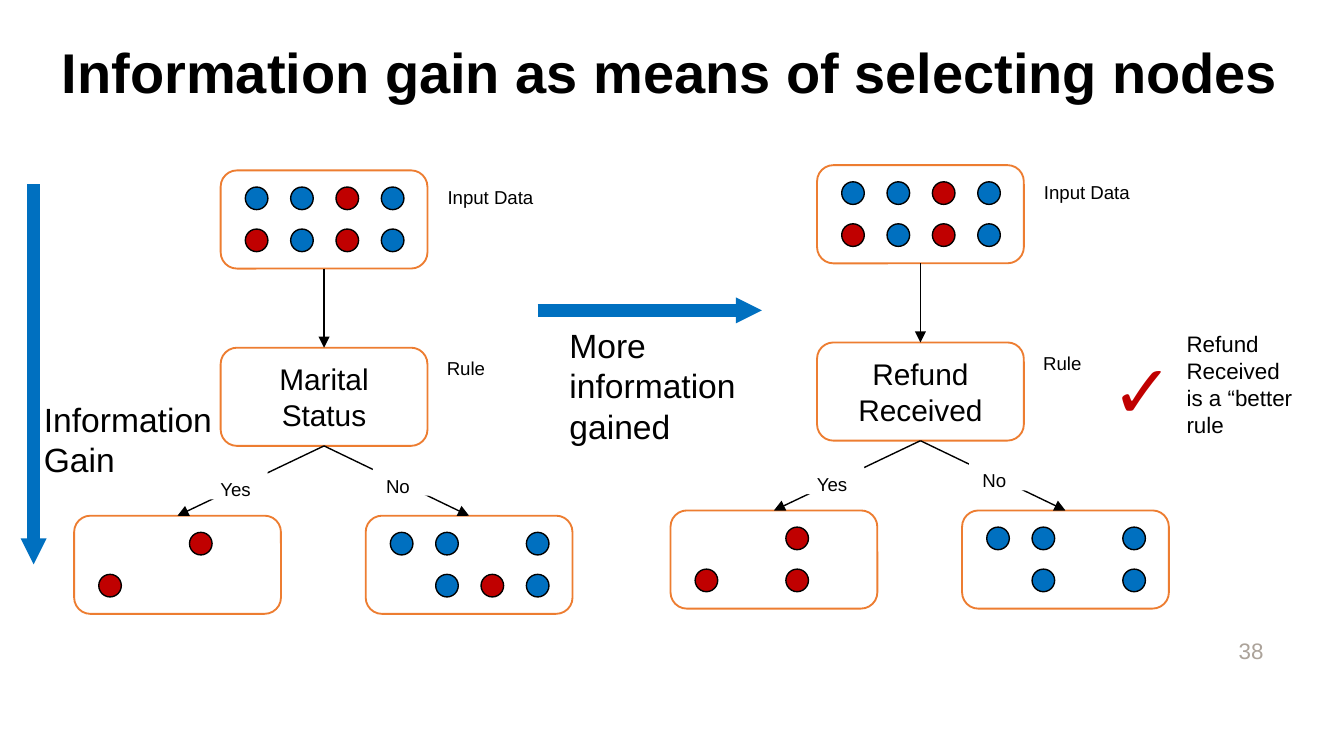
import pptx
import pptx.util
import pptx.dml.color
import pptx.enum.shapes
import pptx.enum.text
import pptx.oxml.ns
import lxml.etree

Pt = pptx.util.Pt
RGBColor = pptx.dml.color.RGBColor
SHAPE = pptx.enum.shapes.MSO_SHAPE
ALIGN = pptx.enum.text.PP_ALIGN
ANCHOR = pptx.enum.text.MSO_ANCHOR
qn = pptx.oxml.ns.qn

BLACK = RGBColor(0x00, 0x00, 0x00)
WHITE = RGBColor(0xFF, 0xFF, 0xFF)
ORANGE = RGBColor(0xED, 0x7D, 0x31)
BLUE = RGBColor(0x00, 0x70, 0xC0)
RED = RGBColor(0xC0, 0x00, 0x00)
GREY = RGBColor(0xAC, 0xA3, 0x9A)

DOTS = {"B": BLUE, "R": RED}
BOX_W, BOX_H = 110.8, 52.6
ROOT_X, LEAF_X = 78.5, 156.2
RULE_Y, LEAF_Y = 95, 185


def write(frame, text, size, color=BLACK, bold=False, align=ALIGN.LEFT, anchor=ANCHOR.TOP):
    frame.word_wrap = True
    frame.vertical_anchor = anchor
    para = frame.paragraphs[0]
    para.alignment = align
    for i, line in enumerate(text.split("\n")):
        if i:
            para.add_line_break()
        run = para.add_run()
        run.text = line
        run.font.name = "Arial"
        run.font.size = Pt(size)
        run.font.bold = bold
        run.font.color.rgb = color


def add_title(slide, text):
    title = slide.shapes.title
    title.left, title.top, title.width, title.height = Pt(26), Pt(6.5), Pt(678), Pt(67.7)
    write(title.text_frame, text, 30, bold=True, anchor=ANCHOR.MIDDLE)
    title.text_frame.auto_size = pptx.enum.text.MSO_AUTO_SIZE.NONE
    title.text_frame.paragraphs[0].line_spacing = 0.9


def add_text(slide, x, y, w, h, text, size, **style):
    box = slide.shapes.add_textbox(Pt(x), Pt(y), Pt(w), Pt(h))
    write(box.text_frame, text, size, **style)
    return box


def add_form(slide, kind, x, y, w, h, fill, edge=None, width=0.75):
    form = slide.shapes.add_shape(kind, Pt(x), Pt(y), Pt(w), Pt(h))
    form.shadow.inherit = False
    form.fill.solid()
    form.fill.fore_color.rgb = fill
    if edge is None:
        form.line.fill.background()
    else:
        form.line.color.rgb = edge
        form.line.width = Pt(width)
    return form


def add_label(slide, x, y, w, text):
    label = add_form(slide, SHAPE.RECTANGLE, x, y, w, 15, WHITE)
    write(label.text_frame, text, 10)


def add_node(slide, x, y, rows=(), text=""):
    node = add_form(slide, SHAPE.ROUNDED_RECTANGLE, x, y, BOX_W, BOX_H, WHITE, ORANGE, 1)
    if text:
        write(node.text_frame, text, 16, align=ALIGN.CENTER, anchor=ANCHOR.MIDDLE)
    for r, row in enumerate(rows):
        for c, key in enumerate(row):
            if key in DOTS:
                add_form(slide, SHAPE.OVAL, x + 13.2 + 24.3 * c, y + 8.9 + 22.5 * r,
                         12.1, 12.1, DOTS[key], BLACK)


def add_arrow(slide, x1, y1, x2, y2, color=BLACK, width=0.75, head="med"):
    kind = pptx.enum.shapes.MSO_CONNECTOR.STRAIGHT
    arrow = slide.shapes.add_connector(kind, Pt(x1), Pt(y1), Pt(x2), Pt(y2))
    arrow.line.color.rgb = color
    arrow.line.width = Pt(width)
    props = arrow._element.spPr
    line = props.find(qn("a:ln"))
    lxml.etree.SubElement(line, qn("a:tailEnd"), type="triangle", w=head, len=head)
    lxml.etree.SubElement(props, qn("a:effectLst"))


def add_tree(slide, x, y, rule, yes, no):
    root, mid = x + ROOT_X, x + ROOT_X + BOX_W / 2
    add_node(slide, root, y, ("BBRB", "RBRB"))
    add_node(slide, root, y + RULE_Y, text=rule)
    add_arrow(slide, mid, y + BOX_H, mid, y + RULE_Y)
    for leaf, rows in ((x, yes), (x + LEAF_X, no)):
        add_node(slide, leaf, y + LEAF_Y, rows)
        add_arrow(slide, mid, y + RULE_Y + BOX_H, leaf + BOX_W / 2, y + LEAF_Y)
    add_label(slide, x + 71.3, y + 161.3, 32.4, "Yes")
    add_label(slide, x + 160, y + 159.3, 32.4, "No")
    add_label(slide, x + 193, y + 4.7, 90.7, "Input Data")
    add_label(slide, x + 192.6, y + 96.5, 90.7, "Rule")


def main():
    deck = pptx.Presentation()
    deck.slide_width, deck.slide_height = Pt(720), Pt(405)
    slide = deck.slides.add_slide(deck.slide_layouts[5])
    add_title(slide, "Information gain as means of selecting nodes")
    add_text(slide, 516.2, 337.7, 167.8, 21.6, "38", 12, color=GREY,
             align=ALIGN.RIGHT, anchor=ANCHOR.MIDDLE)
    add_tree(slide, 359.2, 88.5, "Refund Received", ("..R.", "R.R."), ("BB.B", ".B.B"))
    add_tree(slide, 39.7, 91.3, "Marital Status", ("..R.", "R..."), ("BB.B", ".BRB"))
    add_arrow(slide, 18, 98.6, 18, 302.4, BLUE, 7, "sm")
    add_text(slide, 16.4, 210.2, 109.4, 51, "Information Gain", 18)
    add_arrow(slide, 288, 166.3, 408.2, 166.3, BLUE, 7, "sm")
    add_text(slide, 298, 170.6, 108, 72.7, "More information gained", 18)
    check = add_text(slide, 588.2, 180.7, 46.8, 55.4, "✓", 40, color=RED, bold=True)
    check.text_frame.word_wrap = False
    add_text(slide, 628.6, 173.5, 74.9, 65.5, "Refund Received is a “better\nrule", 12)
    deck.save("out.pptx")


if __name__ == "__main__":
    main()
